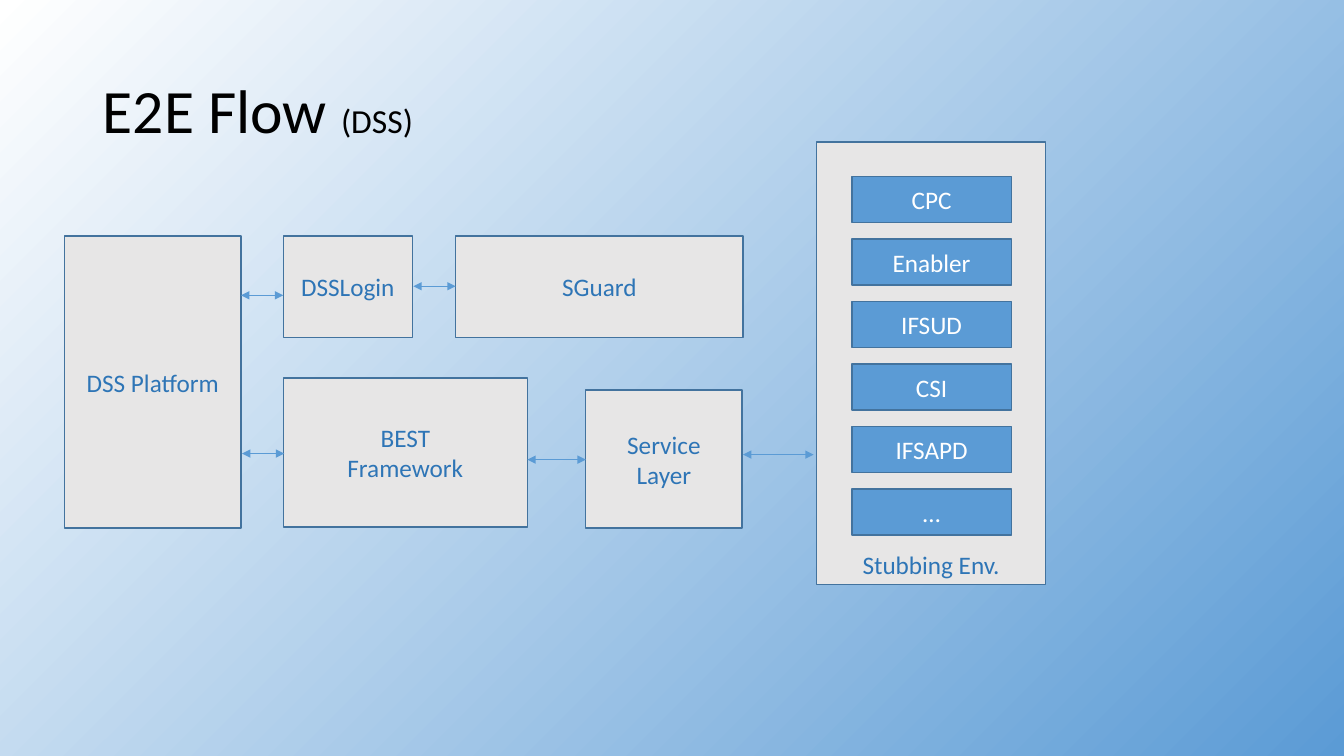
import pptx
import pptx.dml.color
import pptx.enum.shapes
import pptx.enum.text
import pptx.oxml
import pptx.oxml.ns
import pptx.util

Inches = pptx.util.Inches
Pt = pptx.util.Pt
ANCHOR = pptx.enum.text.MSO_ANCHOR
ALIGN = pptx.enum.text.PP_ALIGN

FONT = "Calibri"
BLUE, OUTLINE, LABEL_BLUE = "5B9BD5", "43739E", "2E75B6"
GREY, WHITE, BLACK = "E7E6E6", "FFFFFF", "000000"


def color(hex_value):
    """Turn a hex string into an RGB color."""
    return pptx.dml.color.RGBColor.from_string(hex_value)


def add_box(slide, bounds, lines, fill=GREY, text_color=LABEL_BLUE, anchor=ANCHOR.MIDDLE):
    """Add an outlined rectangle with one centred paragraph per line."""
    shape = slide.shapes.add_shape(
        pptx.enum.shapes.MSO_SHAPE.RECTANGLE, *[Inches(value) for value in bounds])
    shape.shadow.inherit = False
    shape.fill.solid()
    shape.fill.fore_color.rgb = color(fill)
    shape.line.color.rgb = color(OUTLINE)
    shape.line.width = Pt(1)
    frame = shape.text_frame
    frame.word_wrap = True
    frame.vertical_anchor = anchor
    for index, line in enumerate(lines):
        paragraph = frame.add_paragraph() if index else frame.paragraphs[0]
        paragraph.alignment = ALIGN.CENTER
        run = paragraph.add_run()
        run.text = line
        run.font.name = FONT
        run.font.size = Pt(18)
        run.font.color.rgb = color(text_color)


presentation = pptx.Presentation()
presentation.slide_width = Inches(13.33)
presentation.slide_height = Inches(7.5)
slide = presentation.slides.add_slide(presentation.slide_layouts[5])

# Diagonal background, white at top left (angles run counter-clockwise)
background = slide.background.fill
background.gradient()
background.gradient_angle = 315
for stop, position, stop_color in zip(background.gradient_stops, (0, 1), (WHITE, BLUE)):
    stop.position = position
    stop.color.rgb = color(stop_color)

# Title
title = slide.shapes.title
title.left, title.top = Inches(0.92), Inches(0.4)
title.width, title.height = Inches(11.5), Inches(1.45)
title_frame = title.text_frame
title_frame.word_wrap = True
title_frame.auto_size = pptx.enum.text.MSO_AUTO_SIZE.NONE
title_frame.vertical_anchor = ANCHOR.MIDDLE
paragraph = title_frame.paragraphs[0]
paragraph.alignment = ALIGN.LEFT
paragraph.line_spacing = 0.9
for text, size in (("E2E Flow ", 44), ("(DSS)", 24)):
    run = paragraph.add_run()
    run.text = text
    run.font.name = FONT
    run.font.size = Pt(size)
    run.font.color.rgb = color(BLACK)

# Components: left, top, width, height and label lines
components = [
    ((2.81, 3.75, 2.42, 1.48), ["BEST", "Framework"]),
    ((5.81, 3.87, 1.55, 1.37), ["Service", "Layer"]),
    ((0.64, 2.34, 1.75, 2.9), ["DSS Platform"]),
    ((2.81, 2.34, 1.28, 1.01), ["DSSLogin"]),
    ((4.52, 2.34, 2.85, 1.01), ["SGuard"]),
]
for bounds, lines in components:
    add_box(slide, bounds, lines)

# Two-way arrows: start x, end x, y
arrows = [
    (4.1, 4.52, 2.84),
    (5.23, 5.81, 4.56),
    (2.4, 2.82, 4.5),
    (2.39, 2.81, 2.93),
    (7.37, 8.07, 4.51),
]
for start, end, y in arrows:
    connector = slide.shapes.add_connector(
        pptx.enum.shapes.MSO_CONNECTOR.STRAIGHT,
        Inches(start), Inches(y), Inches(end), Inches(y))
    connector.line.color.rgb = color(BLUE)
    connector.line.width = Pt(0.5)
    line_xml = connector.line._get_or_add_ln()
    for tag in ("a:headEnd", "a:tailEnd"):
        arrowhead = pptx.oxml.xmlchemy.OxmlElement(tag)
        arrowhead.set("type", "triangle")
        line_xml.append(arrowhead)
    connector._element.spPr.append(pptx.oxml.xmlchemy.OxmlElement("a:effectLst"))

# Stubbing environment with its evenly spaced stubs
add_box(slide, (8.1, 1.41, 2.27, 4.39), ["Stubbing Env."], anchor=ANCHOR.BOTTOM)
stub_top, stub_pitch = 1.75, 0.62
for index, stub in enumerate(["CPC", "Enabler", "IFSUD", "CSI", "IFSAPD", "…"]):
    add_box(slide, (8.45, stub_top + index * stub_pitch, 1.58, 0.46), [stub],
            fill=BLUE, text_color=WHITE)

presentation.save("out.pptx")
